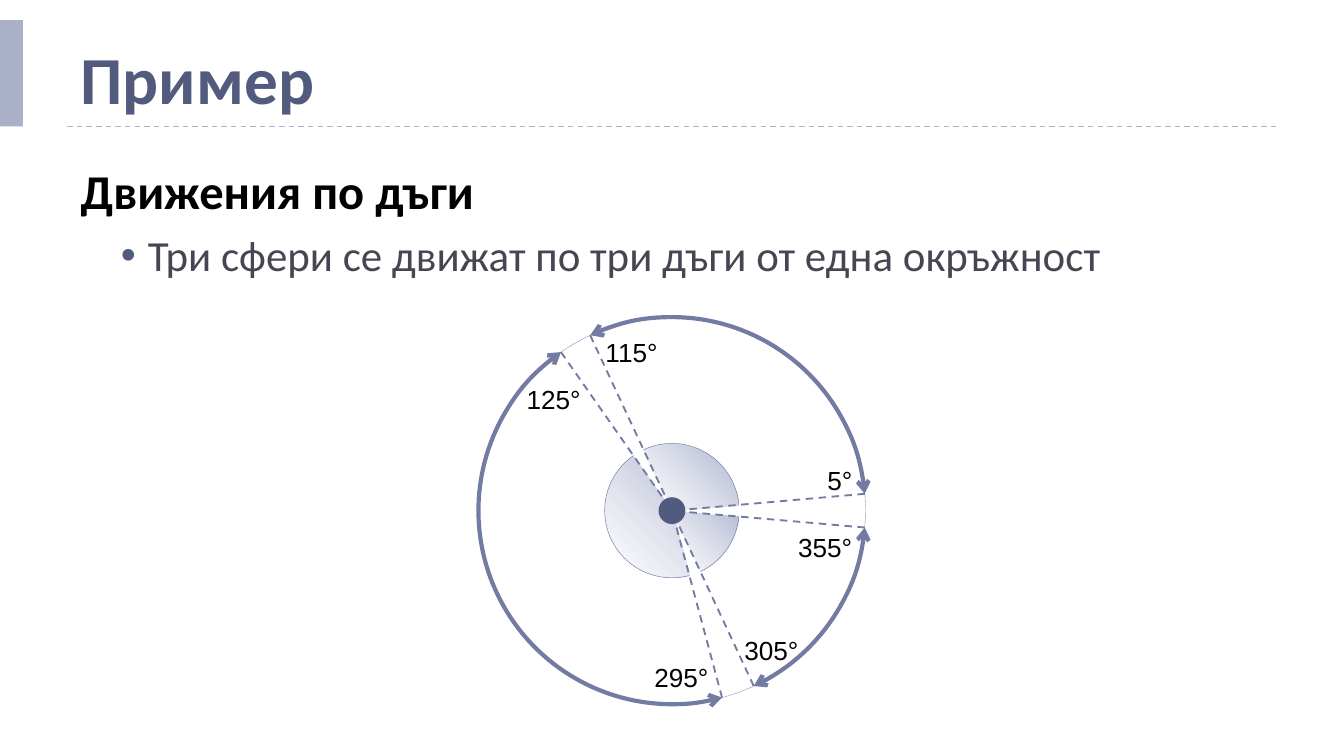
import math
from dataclasses import dataclass

import lxml.etree
import pptx
import pptx.dml.color
import pptx.enum.dml
import pptx.enum.shapes
import pptx.enum.text
import pptx.oxml
import pptx.oxml.ns
import pptx.shapes.autoshape
import pptx.shapes.base
import pptx.slide
import pptx.text.text
import pptx.util

Inches = pptx.util.Inches
Shapes = pptx.enum.shapes.MSO_SHAPE
Dashes = pptx.enum.dml.MSO_LINE


@dataclass(frozen=True)
class Theme:
    accent: str = "525B7E"
    stroke: str = "727CA3"
    bar: str = "AAB0C8"
    rule: str = "9FB8CD"
    black: str = "000000"
    body: str = "464653"
    sector_inner: str = "CCD0E0"
    sector_outer: str = "ADB3CF"
    heading_font: str = "Calibri"
    label_font: str = "Arial"
    title_size: float = 36
    heading_size: float = 26
    bullet_size: float = 23
    label_size: float = 14


@dataclass(frozen=True)
class Arc:
    """Angles are in degrees, clockwise from the right."""
    start: float
    end: float


@dataclass(frozen=True)
class Label:
    text: str
    center_x: float
    center_y: float


THEME = Theme()
SLIDE_WIDTH = 10
SLIDE_HEIGHT = SLIDE_WIDTH * 9 / 16
CENTER_X, CENTER_Y = 5, 3.8
ORBIT_RADIUS, SECTOR_RADIUS, HUB_RADIUS = 1.44, 0.5, 0.1
LABEL_WIDTH, LABEL_HEIGHT = 0.66, 0.4
ARCS = [Arc(75, 235), Arc(245, 355), Arc(5, 65)]
LABELS = [
    Label("5°", 6.25, 3.57),
    Label("115°", 4.7, 2.62),
    Label("125°", 4.12, 2.97),
    Label("295°", 5.07, 5.04),
    Label("305°", 5.74, 4.84),
    Label("355°", 6.14, 4.07),
]


def rgb(color: str) -> pptx.dml.color.RGBColor:
    return pptx.dml.color.RGBColor.from_string(color)


def drawing_element(xml: str) -> lxml.etree._Element:
    """Parse one element whose tag starts with the a: prefix."""
    name, rest = xml[1:].split(" ", 1)
    return pptx.oxml.parse_xml(f"<{name} {pptx.oxml.ns.nsdecls('a')} {rest}")


def style_line(shape, color: str, width: float, dash=None) -> None:
    shape.line.color.rgb = rgb(color)
    shape.line.width = pptx.util.Pt(width)
    if dash is not None:
        shape.line.dash_style = dash


def style_run(paragraph: pptx.text.text._Paragraph, font: str, size: float,
              color: str, bold: bool = False) -> None:
    for run in paragraph.runs:
        run.font.name = font
        run.font.size = pptx.util.Pt(size)
        run.font.color.rgb = rgb(color)
        run.font.bold = bold


def place(shape: pptx.shapes.base.BaseShape, left: float, top: float,
          width: float, height: float) -> None:
    shape.left, shape.top = Inches(left), Inches(top)
    shape.width, shape.height = Inches(width), Inches(height)


def add_line(slide: pptx.slide.Slide, start: tuple[float, float],
             end: tuple[float, float], color: str, width: float) -> None:
    line = slide.shapes.add_connector(
        pptx.enum.shapes.MSO_CONNECTOR.STRAIGHT,
        *(Inches(value) for value in (*start, *end)))
    style_line(line, color, width, Dashes.DASH)
    line._element.spPr.append(drawing_element("<a:effectLst />"))


def add_round(slide: pptx.slide.Slide, kind: Shapes,
              radius: float) -> pptx.shapes.autoshape.Shape:
    """Add a shape centred on the hub, without fill or shadow."""
    shape = slide.shapes.add_shape(
        kind, Inches(CENTER_X - radius), Inches(CENTER_Y - radius),
        Inches(2 * radius), Inches(2 * radius))
    shape.shadow.inherit = False
    shape.fill.background()
    return shape


def add_arc(slide: pptx.slide.Slide, arc: Arc, radius: float,
            width: float) -> pptx.shapes.autoshape.Shape:
    shape = add_round(slide, Shapes.ARC, radius)
    # Angles are stored in 1/60000 degree, adjustments in 1/100000.
    shape.adjustments[0] = arc.start * 0.6
    shape.adjustments[1] = arc.end * 0.6
    style_line(shape, THEME.stroke, width)
    return shape


def add_sector(slide: pptx.slide.Slide, arc: Arc) -> None:
    properties = add_arc(slide, arc, SECTOR_RADIUS, 0.25)._element.spPr
    gradient = drawing_element(
        '<a:gradFill rotWithShape="1"><a:gsLst>'
        f'<a:gs pos="0"><a:srgbClr val="{THEME.sector_inner}"><a:alpha val="0"/></a:srgbClr></a:gs>'
        f'<a:gs pos="100000"><a:srgbClr val="{THEME.sector_outer}"/></a:gs></a:gsLst>'
        '<a:path path="circle"><a:fillToRect t="100000" r="100000"/></a:path></a:gradFill>')
    properties.replace(properties.find(pptx.oxml.ns.qn("a:noFill")), gradient)


def add_motion_arc(slide: pptx.slide.Slide, arc: Arc) -> None:
    shape = add_arc(slide, arc, ORBIT_RADIUS, 2.25)
    line = shape._element.spPr.find(pptx.oxml.ns.qn("a:ln"))
    for end in ("headEnd", "tailEnd"):
        line.append(drawing_element(f'<a:{end} type="arrow"/>'))


def add_radius(slide: pptx.slide.Slide, angle: float) -> None:
    radians = math.radians(angle)
    outer = (CENTER_X + ORBIT_RADIUS * math.cos(radians),
             CENTER_Y + ORBIT_RADIUS * math.sin(radians))
    add_line(slide, outer, (CENTER_X, CENTER_Y), THEME.stroke, 1)


def add_label(slide: pptx.slide.Slide, label: Label) -> None:
    box = slide.shapes.add_textbox(0, 0, 0, 0)
    place(box, label.center_x - LABEL_WIDTH / 2, label.center_y - LABEL_HEIGHT / 2,
          LABEL_WIDTH, LABEL_HEIGHT)
    frame = box.text_frame
    frame.word_wrap = True
    frame.margin_left = frame.margin_right = 0
    frame.vertical_anchor = pptx.enum.text.MSO_ANCHOR.MIDDLE
    frame.text = label.text
    paragraph = frame.paragraphs[0]
    paragraph.alignment = pptx.enum.text.PP_ALIGN.CENTER
    style_run(paragraph, THEME.label_font, THEME.label_size, THEME.black)


def set_indent(paragraph: pptx.text.text._Paragraph, left: float, first: float) -> None:
    properties = paragraph._p.get_or_add_pPr()
    properties.set("marL", str(Inches(left)))
    properties.set("indent", str(Inches(first)))


def fill_text(slide: pptx.slide.Slide) -> None:
    title, body = slide.shapes.title, slide.placeholders[1]
    place(title, 0.5, 0.12, 9.33, 0.81)
    place(body, 0.5, 1.15, 9.33, 4.42)
    for placeholder in (title, body):
        placeholder.text_frame.auto_size = pptx.enum.text.MSO_AUTO_SIZE.NONE

    title.text_frame.text = "Пример"
    title.text_frame.vertical_anchor = pptx.enum.text.MSO_ANCHOR.BOTTOM
    title_paragraph = title.text_frame.paragraphs[0]
    title_paragraph.alignment = pptx.enum.text.PP_ALIGN.LEFT
    style_run(title_paragraph, THEME.heading_font, THEME.title_size, THEME.accent, True)

    body.text_frame.text = "Движения по дъги"
    heading = body.text_frame.paragraphs[0]
    set_indent(heading, 0, 0)
    heading._p.get_or_add_pPr().append(drawing_element("<a:buNone />"))
    heading.space_before = pptx.util.Pt(0)
    style_run(heading, THEME.heading_font, THEME.heading_size, THEME.black, True)

    bullet = body.text_frame.add_paragraph()
    bullet.text = "Три сфери се движат по три дъги от една окръжност"
    bullet.level = 1
    set_indent(bullet, 0.5, -0.2)
    for xml in (f'<a:buClr ><a:srgbClr val="{THEME.accent}"/></a:buClr>',
                '<a:buFont typeface="Arial"/>', '<a:buChar char="•"/>'):
        bullet._p.get_or_add_pPr().append(drawing_element(xml))
    bullet.space_before = pptx.util.Pt(5)
    style_run(bullet, THEME.heading_font, THEME.bullet_size, THEME.body)


def add_decoration(slide: pptx.slide.Slide) -> None:
    add_line(slide, (0.5, 0.94), (9.5, 0.94), THEME.rule, 0.75)
    bar = slide.shapes.add_shape(Shapes.RECTANGLE, 0, Inches(0.15), Inches(0.17), Inches(0.79))
    bar.shadow.inherit = False
    bar.fill.solid()
    bar.fill.fore_color.rgb = rgb(THEME.bar)
    bar.line.fill.background()


def add_diagram(slide: pptx.slide.Slide) -> None:
    orbit = add_round(slide, Shapes.OVAL, ORBIT_RADIUS)
    style_line(orbit, THEME.stroke, 0.25, Dashes.ROUND_DOT)
    for arc in ARCS:
        add_sector(slide, arc)
    for arc in ARCS:
        add_motion_arc(slide, arc)
        add_radius(slide, arc.start)
        add_radius(slide, arc.end)
    hub = add_round(slide, Shapes.OVAL, HUB_RADIUS)
    hub.fill.solid()
    hub.fill.fore_color.rgb = rgb(THEME.accent)
    hub.line.fill.background()
    for label in LABELS:
        add_label(slide, label)


def main() -> None:
    presentation = pptx.Presentation()
    presentation.slide_width = Inches(SLIDE_WIDTH)
    presentation.slide_height = Inches(SLIDE_HEIGHT)
    slide = presentation.slides.add_slide(presentation.slide_layouts[1])
    add_decoration(slide)
    fill_text(slide)
    add_diagram(slide)
    presentation.save("out.pptx")


if __name__ == "__main__":
    main()
